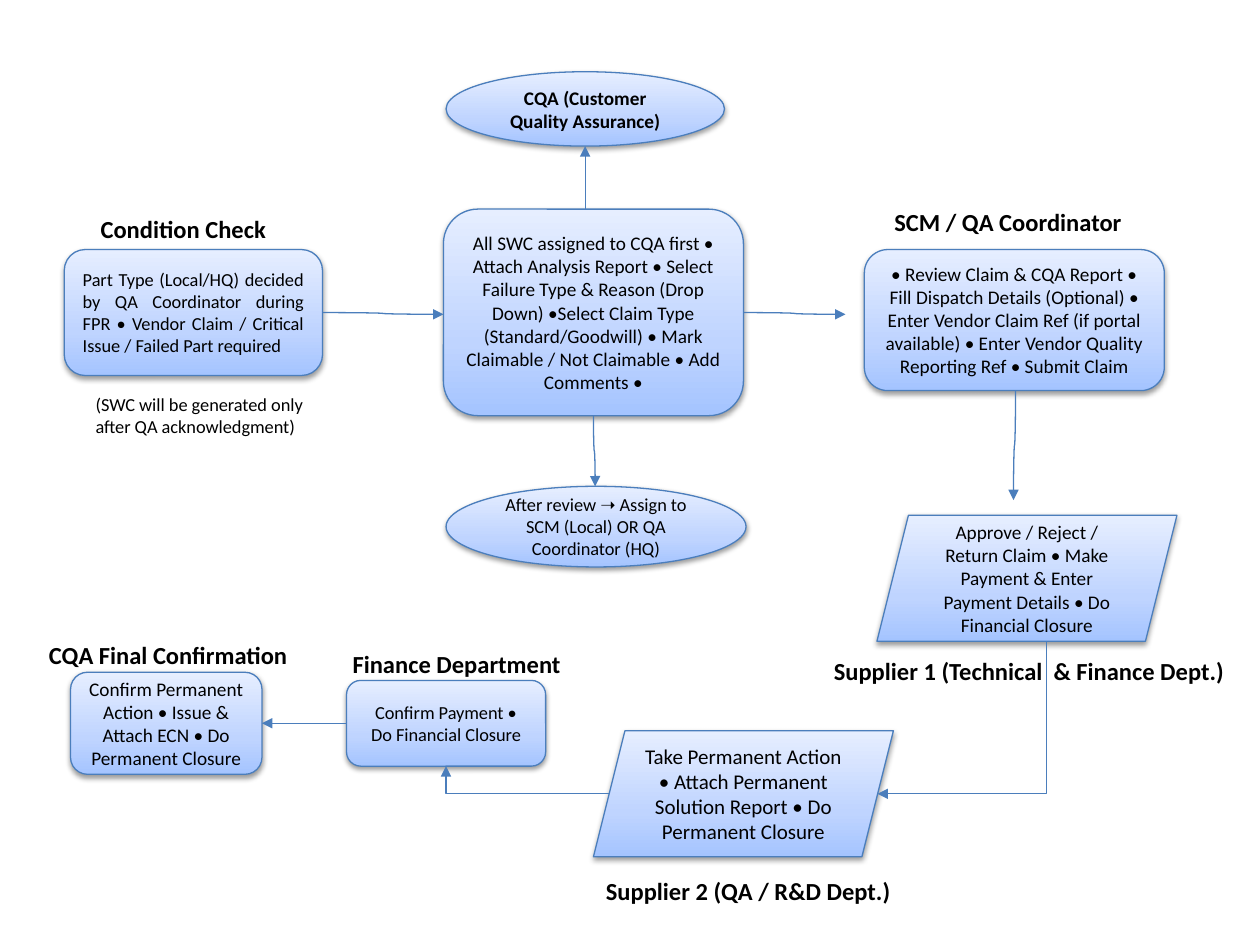
from lxml import etree
from pptx import Presentation
from pptx.dml.color import RGBColor
from pptx.enum.shapes import MSO_CONNECTOR as Conn, MSO_SHAPE as Kind
from pptx.enum.text import MSO_ANCHOR as Anchor, PP_ALIGN as Align
from pptx.oxml import parse_xml
from pptx.oxml.ns import qn
from pptx.util import Pt

EDGE, INK = "4B7EBC", "000000"
STOPS = [(0, "A4C4FF"), (35, "BFD4FF"), (100, "E6EEFF")]
NS = 'xmlns:a="http://schemas.openxmlformats.org/drawingml/2006/main"'
SHADE = (f'<a:effectLst {NS}><a:outerShdw blurRad="{Pt(3.1)}" dist="{Pt(1.6)}" '
         'dir="5400000" rotWithShape="0"><a:srgbClr val="000000">'
         '<a:alpha val="38000"/></a:srgbClr></a:outerShdw></a:effectLst>')


def tint(code):
    return RGBColor.from_string(code)


def write(shape, text, size, bold=False, align=Align.LEFT, anchor=Anchor.TOP):
    frame = shape.text_frame
    frame.word_wrap = True
    frame.vertical_anchor = anchor
    para = frame.paragraphs[0]
    para.alignment = align
    run = para.add_run()
    run.text = text
    look = {"name": "Calibri", "size": Pt(size), "bold": bold}
    for key, val in look.items():
        setattr(run.font, key, val)
    run.font.color.rgb = tint(INK)


def shade(shape):
    fill = shape.fill
    fill.gradient()
    fill.gradient_angle = 90
    stops = "".join(f'<a:gs pos="{pos * 1000}"><a:srgbClr val="{code}"/></a:gs>'
                    for pos, code in STOPS)
    props = shape._element.spPr
    old = props.find(".//" + qn("a:gsLst"))
    old.getparent().replace(old, parse_xml(f"<a:gsLst {NS}>{stops}</a:gsLst>"))
    shape.line.color.rgb = tint(EDGE)
    shape.line.width = Pt(0.75)
    shape.shadow.inherit = False
    props.replace(props.find(qn("a:effectLst")), parse_xml(SHADE))


def node(slide, box, kind, text, size=11, bold=False, align=Align.CENTER):
    shape = slide.shapes.add_shape(kind, *map(Pt, box))
    shade(shape)
    write(shape, text, size, bold, align, Anchor.MIDDLE)
    return shape


def label(slide, box, text, size=14, bold=True):
    write(slide.shapes.add_textbox(*map(Pt, box)), text, size, bold)


def step(slide, box, kind, text, head, gap, wide, **form):
    card = node(slide, box, kind, text, **form)
    label(slide, (box[0] + gap[0], box[1] + gap[1], wide, 24.5), head)
    return card


def check(slide, box):
    x, y, w, h = box
    step(slide, box, Kind.ROUNDED_RECTANGLE,
         "Part Type (Local/HQ) decided by QA Coordinator during FPR • "
         "Vendor Claim / Critical Issue / Failed Part required",
         "Condition Check", (13.7, -23.8), 200, size=10.5, align=Align.JUSTIFY)
    label(slide, (x + 10.8, y + h + 6.5, w, 32.4),
          "(SWC will be generated only after QA acknowledgment)", 10.5, False)


def review(slide, box):
    x, y, w, h = box
    node(slide, (x + 1.5, y - 78.5, 159.1, 42.5), Kind.OVAL,
         "CQA (Customer Quality Assurance)", bold=True)
    node(slide, box, Kind.ROUNDED_RECTANGLE,
         "All SWC assigned to CQA first • Attach Analysis Report • Select "
         "Failure Type & Reason (Drop Down) •Select Claim Type "
         "(Standard/Goodwill) • Mark Claimable / Not Claimable • Add Comments •")
    node(slide, (x + 1.5, y + h + 40.4, w, 46.1), Kind.OVAL,
         "After review ➝ Assign to SCM (Local) OR QA Coordinator (HQ)", 10.5)


def link(slide, kind, start, end, down=False, form=None, bend=None):
    (x, y), (u, v) = start, end
    if down:
        cx, cy, dx, dy = (x + u) / 2, (y + v) / 2, (v - y) / 2, (x - u) / 2
        x, y, u, v = cx - dx, cy - dy, cx + dx, cy + dy
    line = slide.shapes.add_connector(kind, Pt(x), Pt(y), Pt(u), Pt(v))
    line.line.color.rgb = tint(EDGE)
    line.line.width = Pt(0.75)
    props = line._element.spPr
    if down:
        props.find(qn("a:xfrm")).set("rot", "5400000")
    geom = props.find(qn("a:prstGeom"))
    if form:
        geom.set("prst", form)
    if bend is not None:
        list_ = geom.find(qn("a:avLst"))
        etree.SubElement(list_, qn("a:gd"), name="adj1", fmla=f"val {bend}")
    etree.SubElement(props.find(qn("a:ln")), qn("a:tailEnd"), type="triangle")
    etree.SubElement(props, qn("a:effectLst"))
    return line


def main():
    deck = Presentation()
    deck.slide_width, deck.slide_height = Pt(720), Pt(540)
    slide = deck.slides.add_slide(deck.slide_layouts[6])

    check(slide, (36.7, 142.6, 147.6, 72))
    review(slide, (253.4, 119.5, 171.4, 118))
    step(slide, (493.9, 142.6, 171.4, 80.6), Kind.ROUNDED_RECTANGLE,
         "• Review Claim & CQA Report • Fill Dispatch Details (Optional) • "
         "Enter Vendor Claim Ref (if portal available) • Enter Vendor Quality "
         "Reporting Ref • Submit Claim",
         "SCM / QA Coordinator", (10.1, -28.1), 200)
    step(slide, (501.1, 294.5, 171.4, 72), Kind.PARALLELOGRAM,
         "Approve / Reject / Return Claim • Make Payment & Enter Payment "
         "Details • Do Financial Closure",
         "Supplier 1 (Technical  & Finance Dept.)", (-31.7, 77), 250)
    step(slide, (339.1, 417.6, 171.4, 72), Kind.PARALLELOGRAM,
         "Take Permanent Action • Attach Permanent Solution Report • "
         "Do Permanent Closure",
         "Supplier 2 (QA / R&D Dept.)", (0, 79.2), 250, size=12)
    pay = step(slide, (198, 388.8, 113.8, 49), Kind.FLOWCHART_ALTERNATE_PROCESS,
               "Confirm Payment • Do Financial Closure",
               "Finance Department", (-3.6, -21.6), 200, size=10.5)
    final = step(slide, (40.3, 384.15, 109.4, 58.3), Kind.ROUNDED_RECTANGLE,
                 "Confirm Permanent Action • Issue & Attach ECN • "
                 "Do Permanent Closure",
                 "CQA Final Confirmation", (-19.4, -22), 200)

    link(slide, Conn.CURVE, (184.3, 178.6), (253.4, 179.6))
    link(slide, Conn.CURVE, (424.8, 178.6), (483.1, 179.6))
    link(slide, Conn.CURVE, (580.3, 223.2), (579.1, 285.8), down=True)
    link(slide, Conn.CURVE, (339.1, 237.5), (340.1, 277.9), down=True)
    link(slide, Conn.STRAIGHT, (334.4, 119.5), (334.4, 83.5))
    link(slide, Conn.ELBOW, (599.8, 366.5), (501.5, 453.6), bend=1700)
    link(slide, Conn.ELBOW, (348.1, 453.6), (254.9, 437.8), form="bentConnector2")
    last = link(slide, Conn.STRAIGHT, (198, 413.3), (149.7, 413.3))
    last.begin_connect(pay, 1)
    last.end_connect(final, 3)

    deck.save("out.pptx")


if __name__ == "__main__":
    main()
